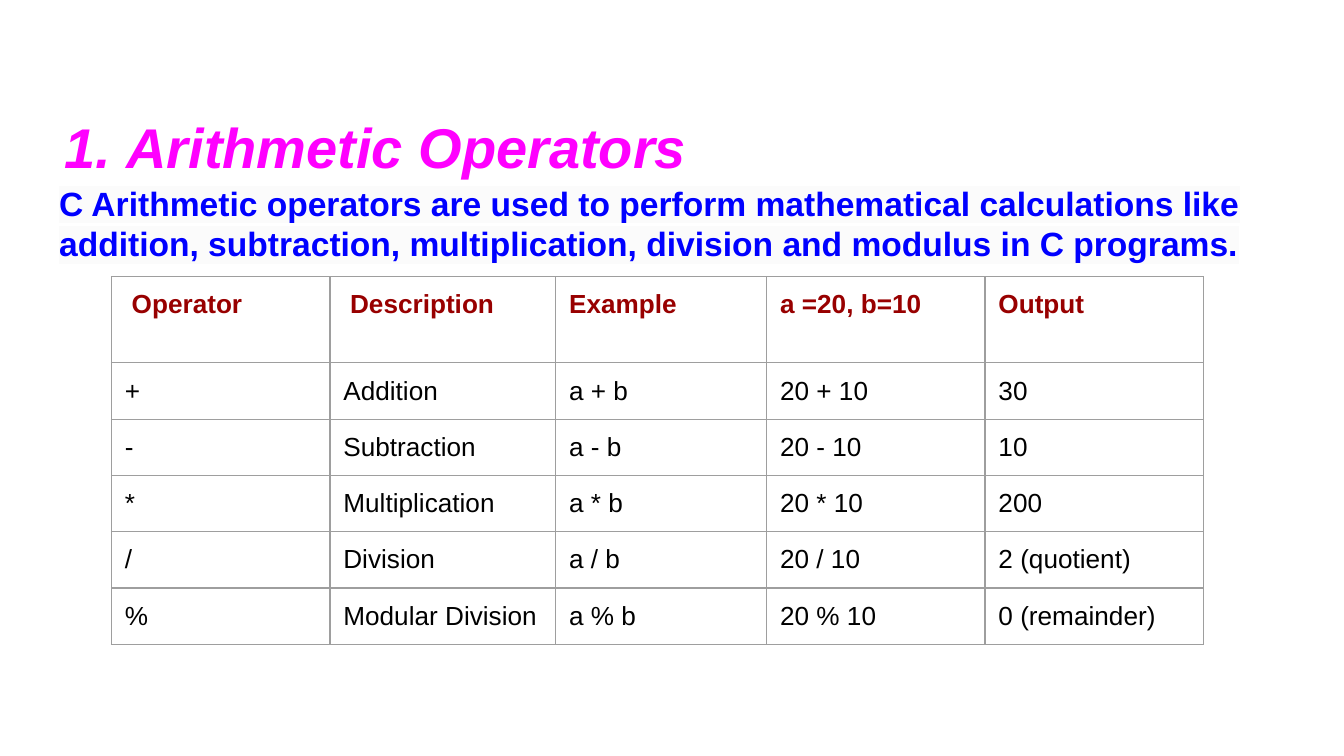
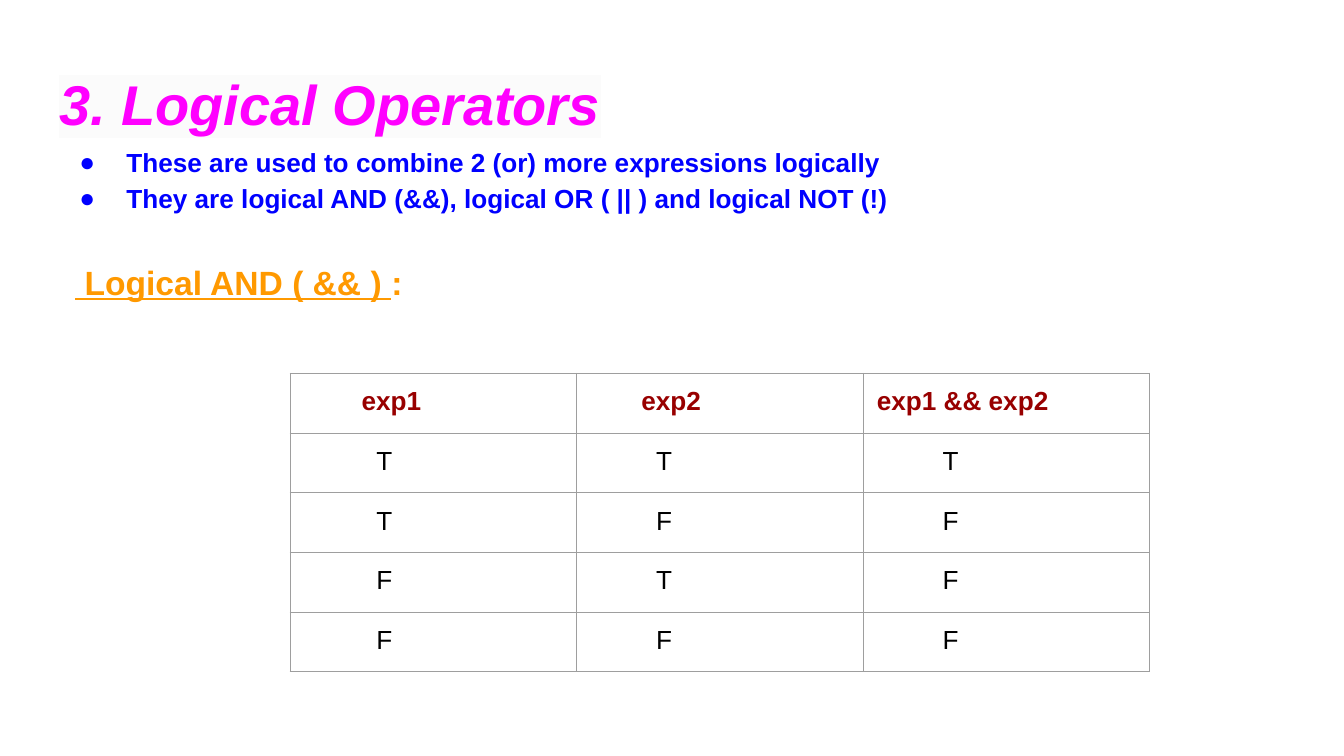
"""Build two slides on arithmetic and logical operators in C."""
from lxml import etree
from pptx import Presentation
from pptx import util as u
from pptx.dml.color import RGBColor
from pptx.enum import text
from pptx.oxml import ns

MAGENTA = RGBColor(0xFF, 0x00, 0xFF)
BLUE = RGBColor(0x00, 0x00, 0xFF)
ORANGE = RGBColor(0xFF, 0x99, 0x00)
MAROON = RGBColor(0x98, 0x00, 0x00)
BLACK = RGBColor(0x00, 0x00, 0x00)
GREY = RGBColor(0x9E, 0x9E, 0x9E)
PALE = RGBColor(0xFB, 0xFB, 0xFB)
FONT = "Arial"
PADDING = u.Inches(0.1)

deck = Presentation()
deck.slide_width, deck.slide_height = u.Pt(720), u.Pt(405)
col, row = deck.slide_width / 100, deck.slide_height / 100


def add_run(paragraph, words, size, color, bold=True, italic=False,
            underline=False, highlight=None):
    run = paragraph.add_run()
    run.text = words
    font = run.font
    font.name, font.size, font.bold = FONT, u.Pt(size), bold
    font.italic, font.underline = italic, underline
    font.color.rgb = color
    if highlight is not None:
        marker = etree.Element(ns.qn("a:highlight"))
        etree.SubElement(marker, ns.qn("a:srgbClr"), val=str(highlight))
        run._r.rPr.find(ns.qn("a:solidFill")).addnext(marker)


def set_indent(paragraph, left=0, hanging=0, bullet=None, color=None):
    props = paragraph._p.get_or_add_pPr()
    props.set("marL", str(u.Inches(left)))
    props.set("indent", str(-u.Inches(hanging)))
    if bullet is None:
        etree.SubElement(props, ns.qn("a:buNone"))
        return
    tint = etree.SubElement(props, ns.qn("a:buClr"))
    etree.SubElement(tint, ns.qn("a:srgbClr"), val=str(color))
    etree.SubElement(props, ns.qn("a:buFont"), typeface=FONT)
    if bullet == "1.":
        etree.SubElement(props, ns.qn("a:buAutoNum"), type="arabicPeriod")
    else:
        etree.SubElement(props, ns.qn("a:buChar"), char=bullet)


arithmetic = dict(
    heading=dict(top=8.7, height=11.2, spacing=1.5, words="Arithmetic Operators",
                 indent=dict(left=0.5, hanging=0.46, bullet="1.", color=MAGENTA)),
    body=dict(top=22.4, height=66.5, paragraphs=[
        dict(spacing=1, before=0, indent={}, runs=[
            dict(words="C Arithmetic operators are used to perform mathematical "
                       "calculations like addition, subtraction, multiplication, "
                       "division and modulus in C programs.",
                 size=18, color=BLUE, highlight=PALE)])]),
    table=dict(left=8.3, top=36.6, widths=[16.25, 16.8, 15.7, 16.25, 16.25],
               heights=[11.4] + [7.43] * 5,
               header_indents=[0.05, 0.05, 0, 0, 0], value_indents=[0] * 5,
               rows=[["Operator", "Description", "Example", "a =20, b=10", "Output"],
                     ["+", "Addition", "a + b", "20 + 10", "30"],
                     ["-", "Subtraction", "a - b", "20 - 10", "10"],
                     ["*", "Multiplication", "a * b", "20 * 10", "200"],
                     ["/", "Division", "a / b", "20 / 10", "2 (quotient)"],
                     ["%", "Modular Division", "a % b", "20 % 10", "0 (remainder)"]]))

dots = dict(left=0.5, hanging=0.35, bullet="●", color=BLUE)
logical = dict(
    heading=dict(top=3.9, height=11.4, spacing=1.4, words="3. Logical Operators",
                 indent={}, highlight=PALE),
    body=dict(top=16.95, height=79, paragraphs=[
        dict(spacing=1.15, before=0, indent=dots, runs=[dict(
            words=words, size=14, color=BLUE)])
        for words in ("These are used to combine 2 (or) more expressions logically",
                      "They are logical AND (&&), logical OR ( || ) and logical NOT (!)")
    ] + [dict(spacing=1.5, before=15, indent=dict(left=0.12), runs=[
        dict(words=" Logical AND ( && ) ", size=18, color=ORANGE, underline=True),
        dict(words=":", size=18, color=ORANGE)])]),
    table=dict(left=21.6, top=49.4, widths=[21.32] * 3, heights=[7.9] * 5,
               header_indents=[0.43, 0.38, 0], value_indents=[0.54, 0.49, 0.49],
               rows=[["exp1", "exp2", "exp1 && exp2"],
                     *map(list, ("TTT", "TFF", "FTF", "FFF"))]))

for topic in (arithmetic, logical):
    slide = deck.slides.add_slide(deck.slide_layouts[1])
    heading, body, grid = topic["heading"], topic["body"], topic["table"]
    title, explanation = slide.shapes.title, slide.placeholders[1]

    for holder, place in ((title, heading), (explanation, body)):
        holder.left, holder.width = int(3.4 * col), int(93.2 * col)
        holder.top, holder.height = int(place["top"] * row), int(place["height"] * row)
        frame = holder.text_frame
        frame.word_wrap = True
        frame.auto_size = text.MSO_AUTO_SIZE.NONE
        frame.vertical_anchor = text.MSO_ANCHOR.TOP
        frame.margin_left = frame.margin_right = PADDING
        frame.margin_top = frame.margin_bottom = PADDING

    name = title.text_frame.paragraphs[0]
    name.alignment = text.PP_ALIGN.LEFT
    name.line_spacing = heading["spacing"]
    set_indent(name, **heading["indent"])
    add_run(name, heading["words"], 30, MAGENTA, italic=True,
            highlight=heading.get("highlight"))

    for index, item in enumerate(body["paragraphs"]):
        frame = explanation.text_frame
        line = frame.add_paragraph() if index else frame.paragraphs[0]
        line.alignment = text.PP_ALIGN.LEFT
        line.line_spacing, line.space_before = item["spacing"], u.Pt(item["before"])
        set_indent(line, **item["indent"])
        for run in item["runs"]:
            add_run(line, **run)

    rows, widths, heights = grid["rows"], grid["widths"], grid["heights"]
    table = slide.shapes.add_table(
        len(rows), len(widths), int(grid["left"] * col), int(grid["top"] * row),
        int(sum(widths) * col), int(sum(heights) * row)).table
    table.first_row = table.horz_banding = False
    for column, width in zip(table.columns, widths):
        column.width = int(width * col)
    for r, values in enumerate(rows):
        table.rows[r].height = int(heights[r] * row)
        indents = grid["value_indents"] if r else grid["header_indents"]
        for c, value in enumerate(values):
            cell = table.cell(r, c)
            cell.fill.background()
            cell.margin_left = cell.margin_right = PADDING
            cell.margin_top = cell.margin_bottom = PADDING
            entry = cell.text_frame.paragraphs[0]
            set_indent(entry, indents[c])
            add_run(entry, value, 14, BLACK if r else MAROON, bold=r == 0)
            for position, side in enumerate(("lnL", "lnR", "lnT", "lnB")):
                border = etree.Element(ns.qn("a:" + side), w=str(u.Pt(0.75)))
                paint = etree.SubElement(border, ns.qn("a:solidFill"))
                etree.SubElement(paint, ns.qn("a:srgbClr"), val=str(GREY))
                cell._tc.get_or_add_tcPr().insert(position, border)

deck.save("out.pptx")
